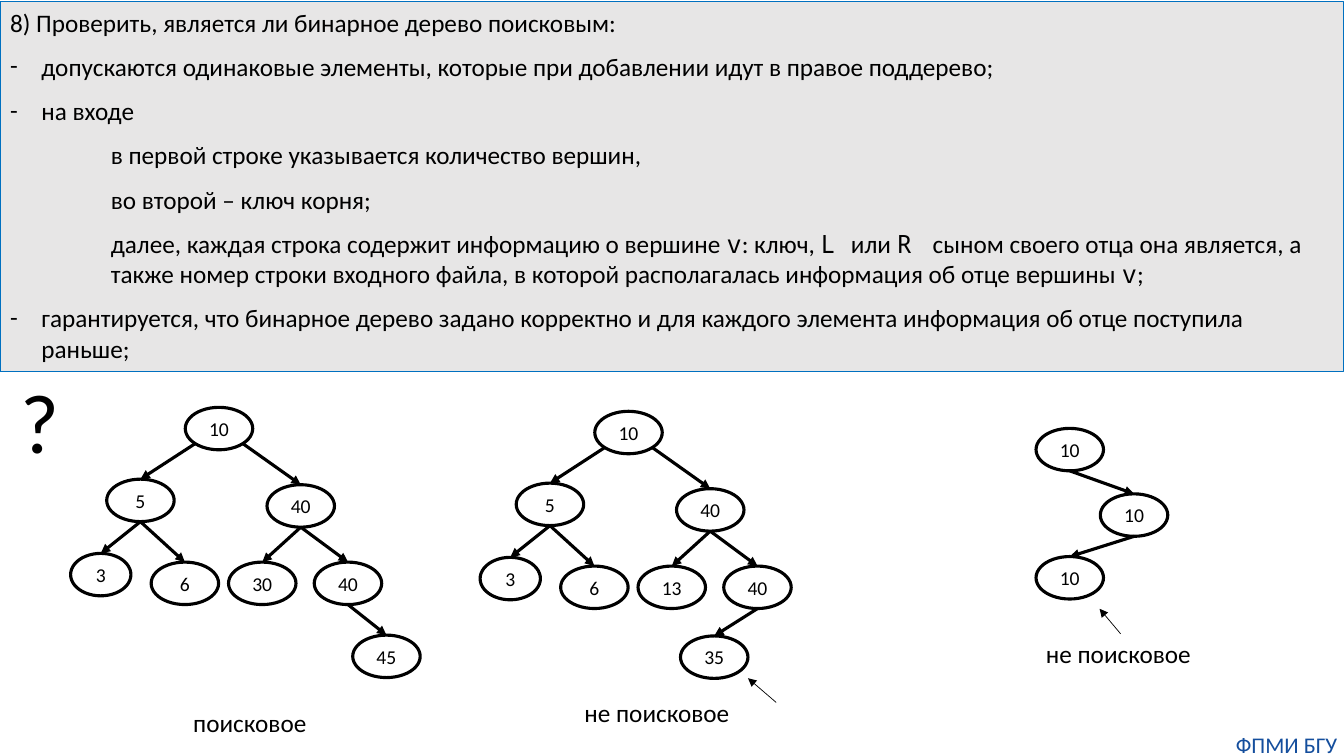
from lxml import etree
from pptx import Presentation
from pptx.dml.color import RGBColor
from pptx.enum.shapes import MSO_CONNECTOR, MSO_SHAPE
from pptx.enum.text import MSO_ANCHOR, MSO_AUTO_SIZE, PP_ALIGN
from pptx.oxml.ns import qn
from pptx.util import Cm, Pt

STRAIGHT = MSO_CONNECTOR.STRAIGHT
OVAL = MSO_SHAPE.OVAL
MIDDLE = MSO_ANCHOR.MIDDLE
TOP = MSO_ANCHOR.TOP
NO_FIT = MSO_AUTO_SIZE.NONE
CENTER = PP_ALIGN.CENTER
LEFT = PP_ALIGN.LEFT

BLACK, GREY, BLUE, NAVY = "000000", "E7E6E6", "0070C0", "144E9D"
TEXT_FONT, CODE_FONT = "Calibri", "Noto Sans Mono"
NODE_WIDTH, LEAF_WIDTH, NODE_HEIGHT = 1.7, 1.52, 1.07
DIAGONAL = 0.707
NO_MARGINS = dict(margin_left=0, margin_right=0, margin_top=0, margin_bottom=0)

PLAIN, DASH, NESTED = "plain", "dash", "nested"
INDENTS = {PLAIN: (0, 0, 0), DASH: (0, 0.79, -0.79), NESTED: (1, 2.54, 0)}
STATEMENT = [
    (PLAIN, "8) Проверить, является ли бинарное дерево поисковым:"),
    (DASH, "допускаются одинаковые элементы, которые при добавлении идут в правое поддерево;"),
    (DASH, "на входе"),
    (NESTED, "в первой строке указывается количество вершин,"),
    (NESTED, "во второй – ключ корня;"),
    (NESTED, "далее, каждая строка содержит информацию о вершине |v|: ключ, |L |или |R | сыном "
             "своего отца она является, а также номер строки входного файла, в которой "
             "располагалась информация об отце вершины |v|;"),
    (DASH, "гарантируется, что бинарное дерево задано корректно и для каждого элемента "
           "информация об отце поступила раньше;"),
]


def full_tree(inner_leaf, last_key, last_x, last_y):
    return [
        (10, 0, 0, None), (5, -1.98, 1.81, 0), (40, 2.06, 1.95, 0),
        (3, -2.98, 3.68, 1), (6, -0.86, 3.9, 1),
        (inner_leaf, 1.09, 3.9, 2), (40, 3.25, 3.9, 2),
        (last_key, last_x, last_y, 6),
    ]


SEARCH_TREE = full_tree(30, 45, 4.22, 5.74)
BROKEN_TREE = full_tree(13, 35, 2.16, 5.66)
EQUAL_KEYS_TREE = [(10, 0, 0, None), (10, 1.62, 1.65, 0), (10, 0, 3.23, 1)]


def rgb(hex_color):
    return RGBColor.from_string(hex_color)


def apply(target, values):
    for name, value in values.items():
        setattr(target, name, value)


def write(paragraph, text, size, color=BLACK):
    for position, part in enumerate(text.split("|")):
        run = paragraph.add_run()
        run.text = part
        apply(run.font, dict(size=Pt(size), name=CODE_FONT if position % 2 else TEXT_FONT))
        run.font.color.rgb = rgb(color)


def add_label(slide, box, text, size=18, color=BLACK, align=LEFT, wrap=False, margins=None):
    label = slide.shapes.add_textbox(*map(Cm, box))
    apply(label.text_frame, dict(word_wrap=wrap, **(margins or {})))
    paragraph = label.text_frame.paragraphs[0]
    paragraph.alignment = align
    write(paragraph, text, size, color)


def add_arrow(shapes, start, end, width=2.25):
    arrow = shapes.add_connector(STRAIGHT, *map(Cm, start + end))
    arrow.line.color.rgb = rgb(BLACK)
    arrow.line.width = Pt(width)
    etree.SubElement(arrow.line._get_or_add_ln(), qn("a:tailEnd"), type="triangle")
    etree.SubElement(arrow._element.spPr, qn("a:effectLst"))
    return arrow


def add_statement(slide, box):
    statement = slide.placeholders[1]
    apply(statement, dict(zip(("left", "top", "width", "height"), map(Cm, box))))
    statement.fill.solid()
    statement.fill.fore_color.rgb = rgb(GREY)
    statement.line.color.rgb = rgb(BLUE)
    statement.line.width = Pt(0.75)
    frame = statement.text_frame
    apply(frame, dict(auto_size=NO_FIT, word_wrap=True, vertical_anchor=TOP))
    for number, (kind, text) in enumerate(STATEMENT):
        paragraph = frame.add_paragraph() if number else frame.paragraphs[0]
        level, margin, indent = INDENTS[kind]
        properties = paragraph._p.get_or_add_pPr()
        properties.set("marL", str(Cm(margin)))
        properties.set("indent", str(Cm(indent)))
        if kind == DASH:
            etree.SubElement(properties, qn("a:buFont"), typeface=TEXT_FONT)
            etree.SubElement(properties, qn("a:buChar"), char="-")
        else:
            etree.SubElement(properties, qn("a:buNone"))
        apply(paragraph, dict(level=level, alignment=LEFT, space_before=Pt(0), space_after=Pt(10)))
        write(paragraph, text, 18)


def add_node(shapes, key, x, y):
    width = LEAF_WIDTH if key == 3 else NODE_WIDTH
    node = shapes.add_shape(OVAL, Cm(x - width / 2), Cm(y - NODE_HEIGHT / 2),
                            Cm(width), Cm(NODE_HEIGHT))
    node.shadow.inherit = False
    node.fill.background()
    node.line.color.rgb = rgb(BLACK)
    node.line.width = Pt(2.25)
    apply(node.text_frame, dict(vertical_anchor=MIDDLE, **NO_MARGINS))
    paragraph = node.text_frame.paragraphs[0]
    paragraph.alignment = CENTER
    write(paragraph, str(key), 14)
    return node


def add_tree(slide, root_x, root_y, vertices):
    shapes = slide.shapes.add_group_shape().shapes
    centers = [(root_x + dx, root_y + dy) for _, dx, dy, _ in vertices]
    nodes = [add_node(shapes, vertex[0], *center) for vertex, center in zip(vertices, centers)]
    parents = [vertex[3] for vertex in vertices]
    for node, (x, y), parent in zip(nodes, centers, parents):
        if parent is None:
            continue
        parent_x, parent_y = centers[parent]
        start = (parent_x, parent_y + NODE_HEIGHT / 2)
        if parent == 0 and parents.count(0) == 2:
            side = 1 if x > parent_x else -1
            start = (parent_x + side * NODE_WIDTH / 2 * DIAGONAL,
                     parent_y + NODE_HEIGHT / 2 * DIAGONAL)
        add_arrow(shapes, start, (x, y - NODE_HEIGHT / 2)).end_connect(node, 0)


def add_examples(slide, left, top):
    add_label(slide, (left + 0.28, top, 1.75, 2.82), "?", 60, wrap=True)
    add_tree(slide, left + 5.52, top + 1.61, SEARCH_TREE)
    add_tree(slide, left + 15.84, top + 1.71, BROKEN_TREE)
    add_tree(slide, left + 26.96, top + 2.14, EQUAL_KEYS_TREE)
    add_label(slide, (left + 4.62, top + 8.51, 3.4, 1.02), "поисковое")
    for x, y in ((14.48, 8.25), (26.11, 6.78)):
        add_label(slide, (left + x, top + y, 4.27, 1.02), "не поисковое")
    for start_x, start_y, end_x, end_y in ((19.56, 8.51, 18.85, 7.9), (28.24, 6.78, 27.71, 6.15)):
        add_arrow(slide.shapes, (left + start_x, top + start_y), (left + end_x, top + end_y), 0.5)


def main():
    deck = Presentation()
    apply(deck, dict(slide_width=Cm(33.87), slide_height=Cm(19.05)))
    slide = deck.slides.add_slide(deck.slide_layouts[1])
    title = slide.shapes.title._element
    title.getparent().remove(title)
    add_label(slide, (30.99, 18.42, 2.87, 0.69), "ФПМИ БГУ", 16, NAVY, CENTER, True, NO_MARGINS)
    add_statement(slide, (0, 0.05, 33.87, 9.32))
    add_examples(slide, 0, 9.19)
    deck.save("out.pptx")


if __name__ == "__main__":
    main()
